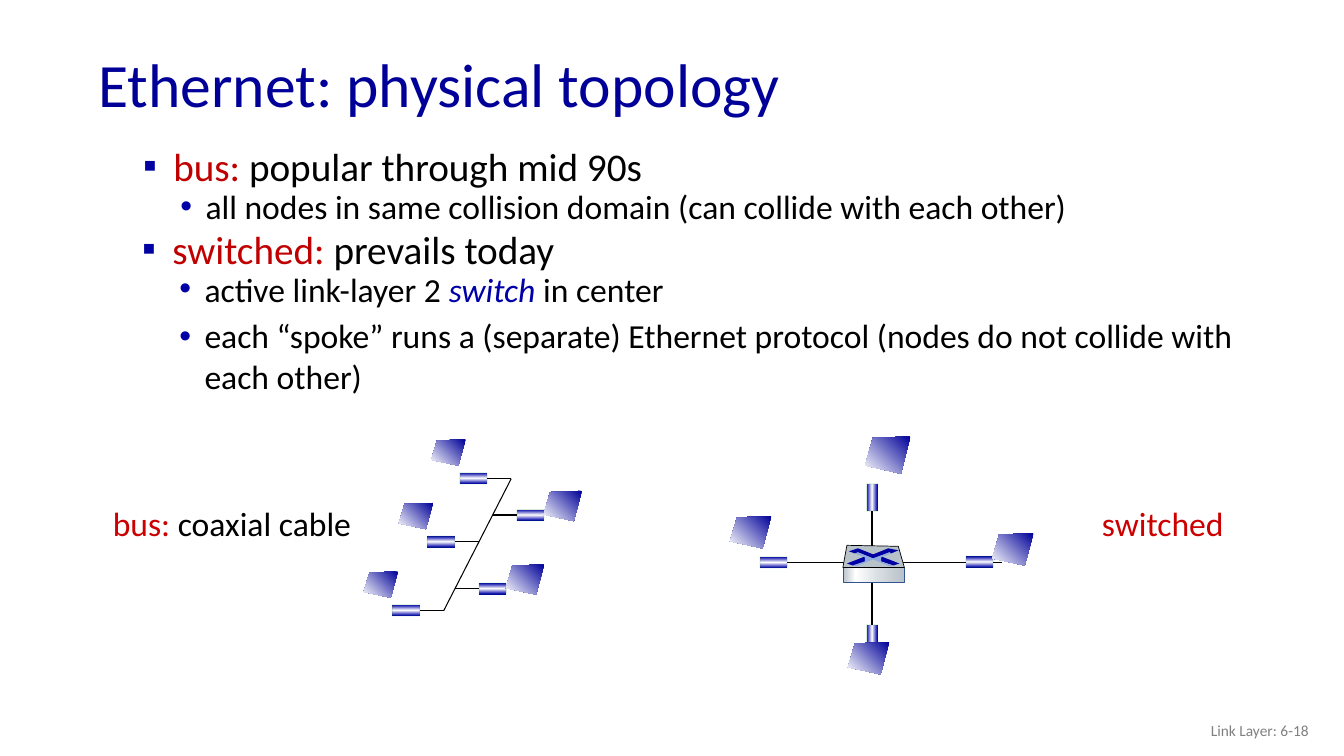
from dataclasses import dataclass

from lxml.etree import SubElement as Sub
from pptx import Presentation
from pptx.dml.color import RGBColor as Rgb
from pptx.enum.shapes import MSO_CONNECTOR as Link, MSO_SHAPE as Kind
from pptx.enum.text import MSO_ANCHOR as Anchor, PP_ALIGN as Align
from pptx.oxml.ns import qn
from pptx.util import Emu, Inches, Pt


@dataclass(frozen=True)
class Theme:
    font: str = "Calibri"
    title: int = 44
    head: int = 28
    body: int = 24
    foot: int = 11
    navy: str = "000099"
    mark: str = "0000A3"
    blue: str = "0000A8"
    red: str = "C00000"
    label: str = "CC0000"
    black: str = "000000"
    white: str = "FFFFFF"
    gray: str = "808080"
    green: str = "008000"
    steel: str = "B8C2C9"
    pale: str = "D6DCE0"
    edge: str = "325491"
    sky: str = "8FAADC"


class Board:
    """Draws on one slide; lengths are cells of a grid with 7.5 x 10 rows."""

    def __init__(self, deck, theme):
        self.look = theme
        self.cell = deck.slide_height / 75
        self.pen = deck.slides.add_slide(deck.slide_layouts[6]).shapes

    def emu(self, *cells):
        return [Emu(round(c * self.cell)) for c in cells]

    # Text
    def text(self, x, y, w, h, wrap=True, anchor=Anchor.TOP):
        frame = self.pen.add_textbox(*self.emu(x, y, w, h)).text_frame
        frame.word_wrap = wrap
        frame.vertical_anchor = anchor
        return frame

    def para(self, frame, size, *runs, mark=None, space=1.0, before=0, align=None):
        first = not frame.paragraphs[0].runs
        para = frame.paragraphs[0] if first else frame.add_paragraph()
        if mark:
            char, color, left, hang = mark
            props = para._p.get_or_add_pPr()
            props.set("marL", str(Inches(left)))
            props.set("indent", str(-Inches(hang)))
            Sub(Sub(props, qn("a:buClr")), qn("a:srgbClr")).set("val", color)
            Sub(props, qn("a:buFont")).set("typeface", "Arial")
            Sub(props, qn("a:buChar")).set("char", char)
        para.line_spacing = space
        para.space_before = Pt(0 if first else before)
        para.alignment = align
        for words, color, *slant in runs:
            run = para.add_run()
            run.text = words
            font = run.font
            font.name, font.size = self.look.font, Pt(size)
            font.italic = bool(slant)
            font.color.rgb = Rgb.from_string(color)

    def point(self, frame, *runs):
        self.para(frame, self.look.head, *runs, space=0.75,
                  mark=("▪", self.look.mark, 0.44, 0.3))

    def sub(self, frame, *runs, space=1.0):
        self.para(frame, self.look.body, *runs, space=space, before=5,
                  mark=("•", self.look.blue, 0.76, 0.25))

    # Fill and outline
    def paint(self, shape, fill, angle=0, line=None, width=0.5, alpha=None):
        shape.shadow.inherit = False
        if isinstance(fill, str):
            shape.fill.solid()
            shape.fill.fore_color.rgb = Rgb.from_string(fill)
        else:
            shape.fill.gradient()
            shape.fill.gradient_angle = angle
            stops = next(shape._element.spPr.iter(qn("a:gsLst")))
            for stop in list(stops):
                stops.remove(stop)
            for place, color in fill:
                stop = Sub(stops, qn("a:gs"), pos=str(place * 1000))
                Sub(stop, qn("a:srgbClr"), val=color)
        if not line:
            shape.line.fill.background()
            return
        shape.line.width = Pt(width)
        shape.line.color.rgb = Rgb.from_string(line)
        if alpha:
            tint = next(shape.line._ln.iter(qn("a:srgbClr")))
            Sub(tint, qn("a:alpha"), val=str(alpha * 1000))

    # Shapes
    def rect(self, x, y, w, h, fill, **style):
        shape = self.pen.add_shape(Kind.RECTANGLE, *self.emu(x, y, w, h))
        self.paint(shape, fill, **style)
        return shape

    def poly(self, dots, fill, **style):
        first, *rest = [self.emu(*dot) for dot in dots]
        path = self.pen.build_freeform(*first, scale=1.0)
        path.add_line_segments(rest, close=True)
        self.paint(path.convert_to_shape(), fill, **style)

    def wire(self, x1, y1, x2, y2, width=1.0, start=None):
        wire = self.pen.add_connector(Link.STRAIGHT, *self.emu(x1, y1, x2, y2))
        wire.line.width = Pt(width)
        wire.line.color.rgb = Rgb.from_string(self.look.black)
        Sub(wire._element.spPr, qn("a:effectLst"))
        if start:
            wire.begin_connect(*start)

    # Network parts
    def card(self, x, y, flat=True):
        """Network adapter centred at x, y."""
        w, h = (2.7, 1.1) if flat else (1.1, 2.7)
        look = self.look
        return self.rect(x - w / 2, y - h / 2, w, h,
                         [(0, look.blue), (50, look.white), (99, look.blue)],
                         angle=270 if flat else 0,
                         line=look.green, width=0.75, alpha=15)

    def host(self, x, y, w, h):
        outline = [(1, 0), (0.17, 0.04), (0, 0.78), (0.79, 1)]
        self.poly([(x + w * a, y + h * b) for a, b in outline],
                  [(0, self.look.navy), (100, self.look.white)], angle=225)

    def switch(self, x, y):
        """Switch whose front has its top left corner at x, y."""
        look = self.look

        def part(dots, fill, **style):
            self.poly([(x + a, y + b) for a, b in dots], fill, **style)

        self.rect(x, y, 6.1, 1.5,
                  [(0, look.steel), (21, look.white),
                   (60, look.pale), (100, look.steel)], line=look.edge)
        part([(0, 0), (0.4, -2.2), (5.5, -2.1), (6.1, 0)],
             look.steel, line=look.black)
        # Crossed arrows: upper pair, two lower tips, band between them
        part([(4.5, -1.9), (5.5, -1.7), (4.8, -1.4), (4.6, -1.5), (3, -0.9),
              (1.5, -1.5), (1.2, -1.4), (0.6, -1.6), (1.5, -1.9), (3, -1.3)], look.mark)
        part([(3.8, -1.1), (5.6, -0.4), (5, -0.2), (3.8, -0.6)], look.mark)
        part([(2.2, -1.1), (2.2, -0.6), (1, -0.2), (0.4, -0.4)], look.blue)
        part([(1.2, -1.4), (1.5, -1.5), (3, -0.9), (4.6, -1.5), (4.8, -1.4),
              (3.8, -1), (3.8, -0.6), (5, -0.2), (4.7, -0.1), (3, -0.8),
              (1.3, -0.1), (1, -0.2), (2.2, -0.6), (2.2, -1)], look.sky)


def main():
    deck = Presentation()
    deck.slide_width, deck.slide_height = Inches(13.33), Inches(7.5)
    look = Theme()
    board = Board(deck, look)

    # Title and footer
    title = board.text(8.8, 3.8, 115, 9.8, anchor=Anchor.MIDDLE)
    board.para(title, look.title, ("Ethernet: physical topology", look.navy), space=0.9)
    foot = board.text(100.8, 70.5, 30, 4, anchor=Anchor.MIDDLE)
    board.para(foot, look.foot, ("Link Layer: 6-18", look.gray), align=Align.RIGHT)

    # Bullets
    bus = board.text(11.8, 14.7, 118.5, 10.1)
    board.point(bus, ("bus: ", look.red), ("popular through mid 90s", look.black))
    board.sub(bus, ("all nodes in same collision domain (can collide with each other)",
                    look.black), space=0.75)
    star = board.text(11.7, 22.9, 118.5, 17.9)
    board.point(star, ("switched: ", look.red), ("prevails today", look.black))
    board.sub(star, ("active link-layer 2 ", look.black), ("switch ", look.blue, True),
              ("in center", look.black), space=0.75)
    board.sub(star, ("each “spoke” runs a (separate) Ethernet protocol "
                     "(nodes do not collide with each other)", look.black))

    # Bus: each node hangs off the slanted cable, left (-1) or right (1)
    label = board.text(10.2, 49.4, 25.8, 5, wrap=False)
    board.para(label, look.body, ("bus: ", look.label), ("coaxial cable", look.black))
    top, end = (50.7, 47.5), (44, 60.6)
    board.wire(*top, *end, width=0.75)
    slope = (end[0] - top[0]) / (end[1] - top[1])
    for y, side in [(47.45, -1), (53.75, -1), (60.55, -1), (58.4, 1), (51.1, 1)]:
        tap = top[0] + slope * (y - top[1])
        x = tap + 3.75 * side
        card = board.card(x, y)
        board.wire(x, y, tap, y, start=(card, 3 if side < 0 else 1))
        if side < 0:
            board.host(x - 4.2, y - 3.85, 3.4, 2.6)
        else:
            board.host(x + 1.3, y - 2.4, 3.8, 3)

    # Star: four spokes around the switch
    label = board.text(108.3, 49.4, 14.2, 5, wrap=False)
    board.para(label, look.body, ("switched", look.label))
    upper = board.card(86.5, 49.35, flat=False)
    board.wire(86.5, 50.7, 86.5, 64.4, start=(upper, 2))
    board.wire(76, 55.8, 99.4, 55.8)
    board.host(85.8, 43.3, 4.5, 3.7)
    for x, y, flat, left, high in [(76.75, 55.8, True, 72.4, 51.2),
                                   (97.15, 55.75, True, 98.4, 52.9),
                                   (86.5, 63.35, False, 84.1, 63.7)]:
        board.card(x, y, flat)
        board.host(left, high, 4.1, 3.2)
    board.switch(83.6, 56.3)

    deck.save("out.pptx")


if __name__ == "__main__":
    main()
